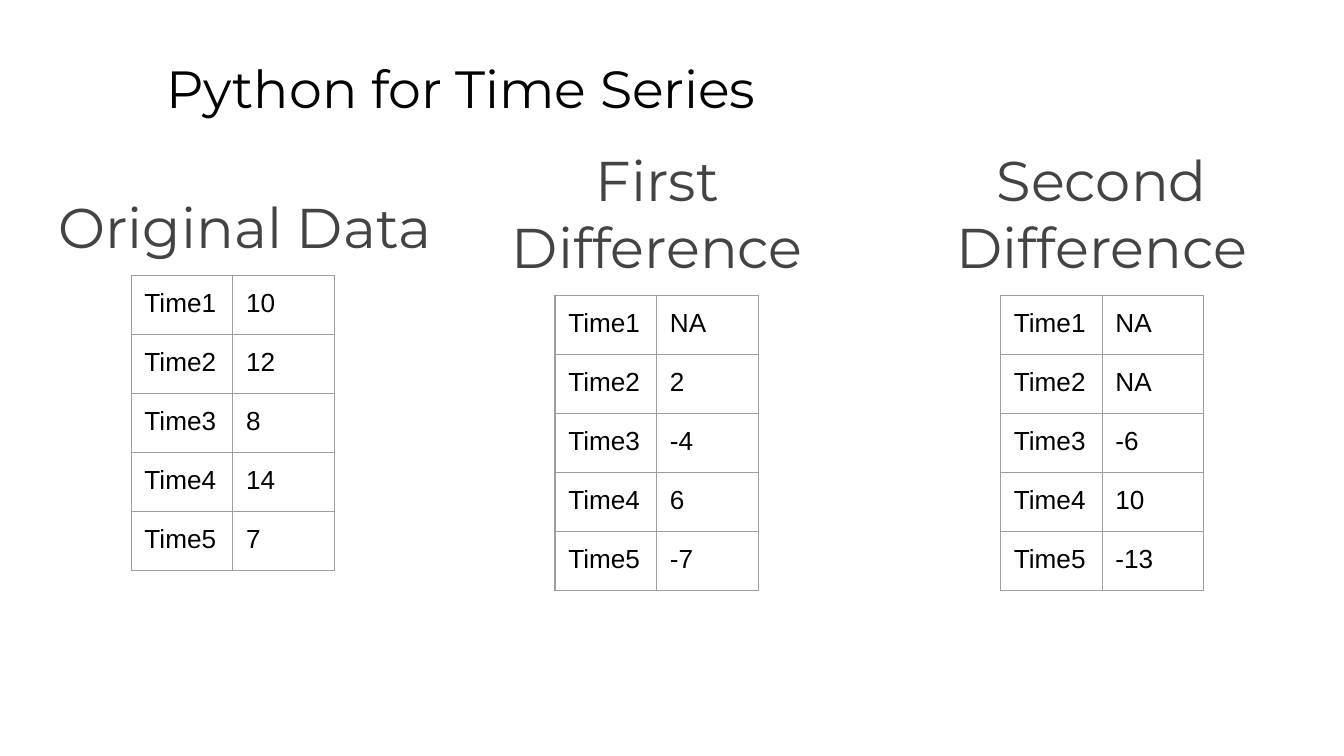
from dataclasses import dataclass

from lxml import etree
from pptx import Presentation
from pptx.dml.color import RGBColor
from pptx.enum import text
from pptx.oxml import ns
from pptx.util import Cm, Pt


@dataclass(frozen=True)
class Theme:
    display: str = "Montserrat"
    table: str = "Arial"
    black: str = "000000"
    grey: str = "434343"
    border: str = "9E9E9E"
    title_size: int = 28
    heading_size: int = 30
    cell_size: int = 14
    border_width: float = 0.75
    inset: float = 0.25


THEME = Theme()
LEFT, CENTER = text.PP_ALIGN.LEFT, text.PP_ALIGN.CENTER
COL_WIDTH, ROW_HEIGHT = 1.92, 1.115


def set_font(p, name, size, color):
    p.font.name = name
    p.font.size = Pt(size)
    p.font.bold = False
    p.font.color.rgb = RGBColor.from_string(color)


def set_margins(target):
    inset = Cm(THEME.inset)
    target.margin_left = target.margin_right = inset
    target.margin_top = target.margin_bottom = inset


def fill_placeholder(sp, box, words, size, color, align=LEFT, spacing=1.0):
    sp.left, sp.top, sp.width, sp.height = map(Cm, box)
    tf = sp.text_frame
    tf.text = words
    tf.word_wrap = True
    tf.auto_size = text.MSO_AUTO_SIZE.NONE
    tf.vertical_anchor = text.MSO_ANCHOR.TOP
    set_margins(tf)
    p = tf.paragraphs[0]
    p.alignment = align
    p.line_spacing = spacing
    p.space_before = p.space_after = Pt(0)
    set_font(p, THEME.display, size, color)
    # No bullet or hanging indent
    p_pr = p._p.get_or_add_pPr()
    p_pr.set("marL", "0")
    p_pr.set("indent", "0")
    etree.SubElement(p_pr, ns.qn("a:buNone"))


def add_borders(cell):
    tc_pr = cell._tc.get_or_add_tcPr()
    for side in ("lnL", "lnR", "lnT", "lnB"):
        ln = etree.SubElement(tc_pr, ns.qn(f"a:{side}"), w=str(Pt(THEME.border_width)))
        fill = etree.SubElement(ln, ns.qn("a:solidFill"))
        etree.SubElement(fill, ns.qn("a:srgbClr"), val=THEME.border)


def add_series_table(slide, left, top, values):
    frame = slide.shapes.add_table(len(values), 2, Cm(left), Cm(top),
                                   Cm(2 * COL_WIDTH), Cm(len(values) * ROW_HEIGHT))
    table = frame.table
    table.first_row = table.horz_banding = False
    for col in table.columns:
        col.width = Cm(COL_WIDTH)
    for i, value in enumerate(values):
        table.rows[i].height = Cm(ROW_HEIGHT)
        for cell, words in zip(table.rows[i].cells, (f"Time{i + 1}", str(value))):
            cell.text = words
            set_margins(cell)
            add_borders(cell)
            cell.fill.background()
            set_font(cell.text_frame.paragraphs[0], THEME.table,
                     THEME.cell_size, THEME.black)


def difference(values):
    pairs = zip(values, values[1:])
    return ["NA"] + ["NA" if a == "NA" else b - a for a, b in pairs]


def main():
    prs = Presentation()
    prs.slide_width, prs.slide_height = Cm(25.4), Cm(14.29)
    slide = prs.slides.add_slide(prs.slide_layouts.get_by_name("Comparison"))
    title, *bodies = slide.placeholders

    # Title
    fill_placeholder(title, (2.9, 0.82, 21.64, 1.6), "Python for Time Series",
                     THEME.title_size, THEME.black)

    # Headings, each with its series below
    original = [10, 12, 8, 14, 7]
    first = difference(original)
    second = difference(first)
    columns = [
        ("Original Data", (0.86, 3.2, 7.9, 2), LEFT, 1.15, (2.48, 5.21), original),
        ("First Difference", (8.41, 2.5, 8.03, 2), CENTER, 1.0, (10.49, 5.58), first),
        ("Second Difference", (16.81, 2.5, 8.03, 2), CENTER, 1.0, (18.91, 5.58), second),
    ]
    for sp, (words, box, align, spacing, corner, values) in zip(bodies, columns):
        fill_placeholder(sp, box, words, THEME.heading_size, THEME.grey, align, spacing)
        add_series_table(slide, *corner, values)

    # Unused placeholders
    for sp in bodies[len(columns):]:
        sp.element.getparent().remove(sp.element)

    prs.save("out.pptx")


main()
